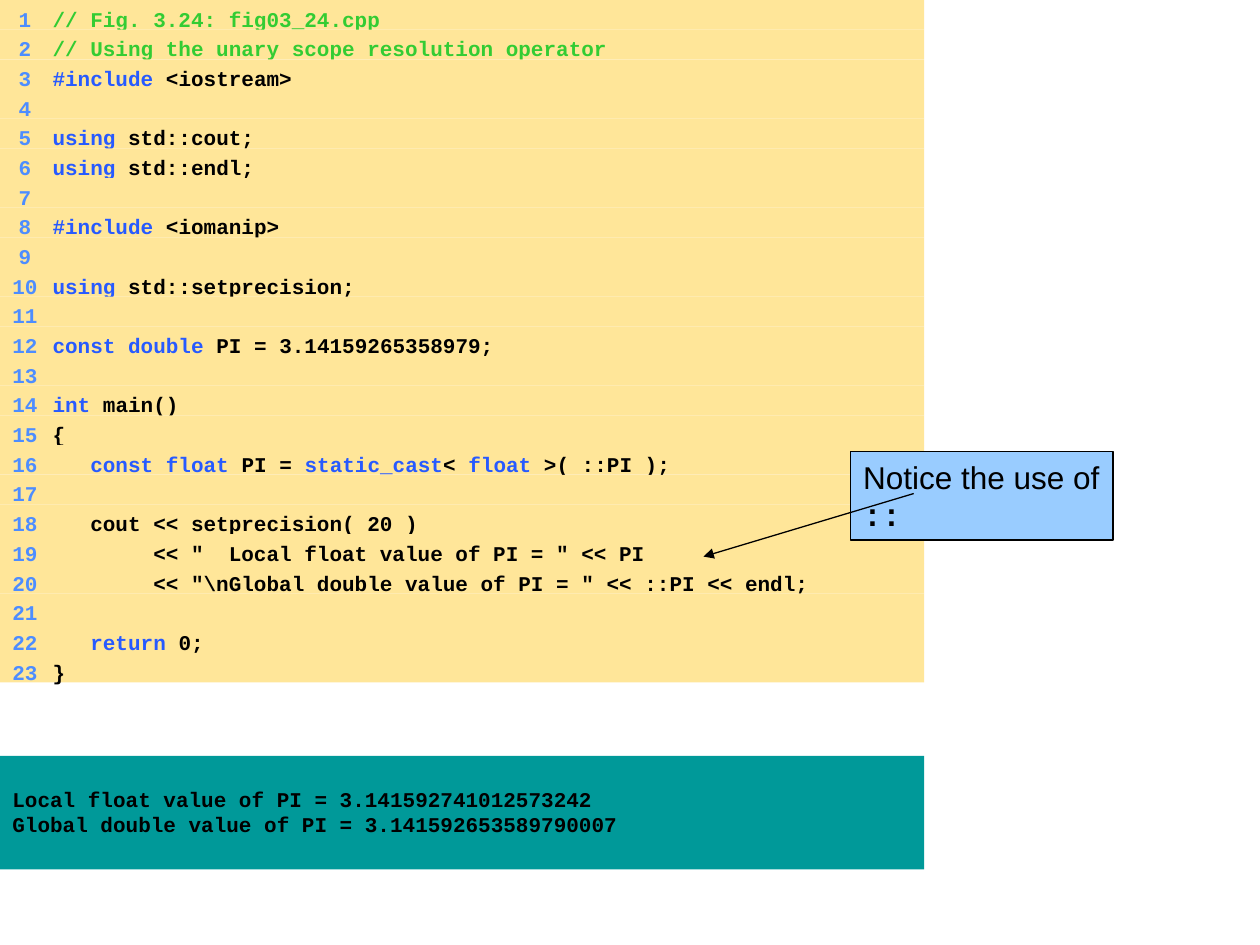
"""Build a slide with a numbered C++ listing, its output and a callout on the scope operator."""
from typing import NamedTuple

from lxml import etree
from pptx import Presentation
from pptx.dml.color import RGBColor
from pptx.enum.shapes import MSO_CONNECTOR, MSO_SHAPE
from pptx.enum.text import MSO_ANCHOR, PP_ALIGN
from pptx.oxml.ns import qn
from pptx.util import Cm, Pt

RECTANGLE = MSO_SHAPE.RECTANGLE
STRAIGHT = MSO_CONNECTOR.STRAIGHT
TOP = MSO_ANCHOR.TOP
LEFT = PP_ALIGN.LEFT

BLACK = RGBColor(0x00, 0x00, 0x00)
CREAM = RGBColor(0xFF, 0xE6, 0x99)
TEAL = RGBColor(0x00, 0x99, 0x99)
SKY = RGBColor(0x99, 0xCC, 0xFF)
NUMBER_BLUE = RGBColor(0x4D, 0x8D, 0xFF)
KEYWORD_BLUE = RGBColor(0x27, 0x5A, 0xFF)
COMMENT_GREEN = RGBColor(0x33, 0xCC, 0x33)

CODE_FONT = "Courier New"
NOTE_FONT = "Arial"
CODE_SIZE = Pt(12)
NOTE_SIZE = Pt(18)
LINE_WIDTH = Pt(0.75)

PANEL_WIDTH = 18.63
LISTING_HEIGHT = 13.76
NUMBER_TABS = ((0.38, "r"), (0.81, "l"))


class Area(NamedTuple):
    """Position and size in centimetres."""
    left: float
    top: float
    width: float
    height: float


class Span(NamedTuple):
    """A piece of text in one colour."""
    text: str
    color: RGBColor = BLACK


def keyword(text: str) -> Span:
    """Return a keyword span."""
    return Span(text, KEYWORD_BLUE)


def comment(text: str) -> Span:
    """Return a comment span."""
    return Span(text, COMMENT_GREEN)


LISTING = (
    (comment("// Fig. 3.24: fig03_24.cpp"),),
    (comment("// Using the unary scope resolution operator"),),
    (keyword("#include"), Span(" <iostream>")),
    (),
    (keyword("using"), Span(" std::cout;")),
    (keyword("using"), Span(" std::endl;")),
    (),
    (keyword("#include"), Span(" <iomanip>")),
    (),
    (keyword("using"), Span(" std::setprecision;")),
    (),
    (keyword("const double"), Span(" PI = 3.14159265358979;")),
    (),
    (keyword("int"), Span(" main()")),
    (Span("{"),),
    (keyword("   const float"), Span(" PI = "), keyword("static_cast"),
     Span("< "), keyword("float"), Span(" >( ::PI );")),
    (),
    (Span("   cout << setprecision( 20 )"),),
    (Span('        << "  Local float value of PI = " << PI'),),
    (Span('        << "\\nGlobal double value of PI = " << ::PI << endl;'),),
    (),
    (keyword("   return"), Span(" 0;")),
    (Span("}"),),
)

OUTPUT = (
    "Local float value of PI = 3.141592741012573242",
    "Global double value of PI = 3.141592653589790007",
)


def add_panel(page, area: Area, fill: RGBColor):
    """Add a filled rectangle with wrapped text starting at its top."""
    box = page.shapes.add_shape(RECTANGLE, *(Cm(length) for length in area))
    box.shadow.inherit = False
    box.fill.solid()
    box.fill.fore_color.rgb = fill
    box.line.fill.background()
    box.text_frame.word_wrap = True
    box.text_frame.vertical_anchor = TOP
    return box


def add_tabs(para, tabs: tuple) -> None:
    """Give a paragraph its tab stops."""
    tab_list = etree.SubElement(para._p.get_or_add_pPr(), qn("a:tabLst"))
    for position, align in tabs:
        etree.SubElement(tab_list, qn("a:tab"), pos=str(Cm(position)), algn=align)


def style_code(para) -> None:
    """Set a paragraph in the code font."""
    para.alignment = LEFT
    para.font.name = CODE_FONT
    para.font.size = CODE_SIZE
    para.font.bold = True


def add_span(para, span: Span):
    """Append a coloured run to a paragraph."""
    run = para.add_run()
    run.text = span.text
    run.font.color.rgb = span.color
    return run


def add_listing(page) -> None:
    """Draw one numbered strip for each line of code."""
    height = LISTING_HEIGHT / len(LISTING)
    for index, spans in enumerate(LISTING):
        box = add_panel(page, Area(0, index * height, PANEL_WIDTH, height), CREAM)
        para = box.text_frame.paragraphs[0]
        add_tabs(para, NUMBER_TABS)
        style_code(para)
        for span in (Span(f"\t{index + 1}\t", NUMBER_BLUE), *spans):
            add_span(para, span)


def add_output(page) -> None:
    """Draw the panel with the program output."""
    frame = add_panel(page, Area(0, 15.24, PANEL_WIDTH, 2.29), TEAL).text_frame
    frame.margin_top = Cm(0.61)
    for index, line in enumerate(OUTPUT):
        para = frame.add_paragraph() if index else frame.paragraphs[0]
        style_code(para)
        add_span(para, Span(line))


def add_callout(page) -> None:
    """Draw the note and the arrow from it to the code."""
    box = add_panel(page, Area(17.15, 9.1, 5.29, 1.79), SKY)
    box.line.color.rgb = BLACK
    box.line.width = LINE_WIDTH
    para = box.text_frame.paragraphs[0]
    para.alignment = LEFT
    para.font.size = NOTE_SIZE
    add_span(para, Span("Notice the use of ")).font.name = NOTE_FONT
    operator = add_span(para, Span("::"))
    operator.font.name = CODE_FONT
    operator.font.bold = True

    arrow = page.shapes.add_connector(STRAIGHT, Cm(18.42), Cm(9.95), Cm(14.18), Cm(11.22))
    arrow.line.color.rgb = BLACK
    arrow.line.width = LINE_WIDTH
    etree.SubElement(arrow.line._get_or_add_ln(), qn("a:tailEnd"), type="triangle")
    etree.SubElement(arrow._element.spPr, qn("a:effectLst"))


def main() -> None:
    """Build and save the deck."""
    deck = Presentation()
    deck.slide_width = Cm(25.4)
    deck.slide_height = Cm(19.05)
    page = deck.slides.add_slide(deck.slide_layouts[6])
    add_listing(page)
    add_output(page)
    add_callout(page)
    deck.save("out.pptx")


if __name__ == "__main__":
    main()
